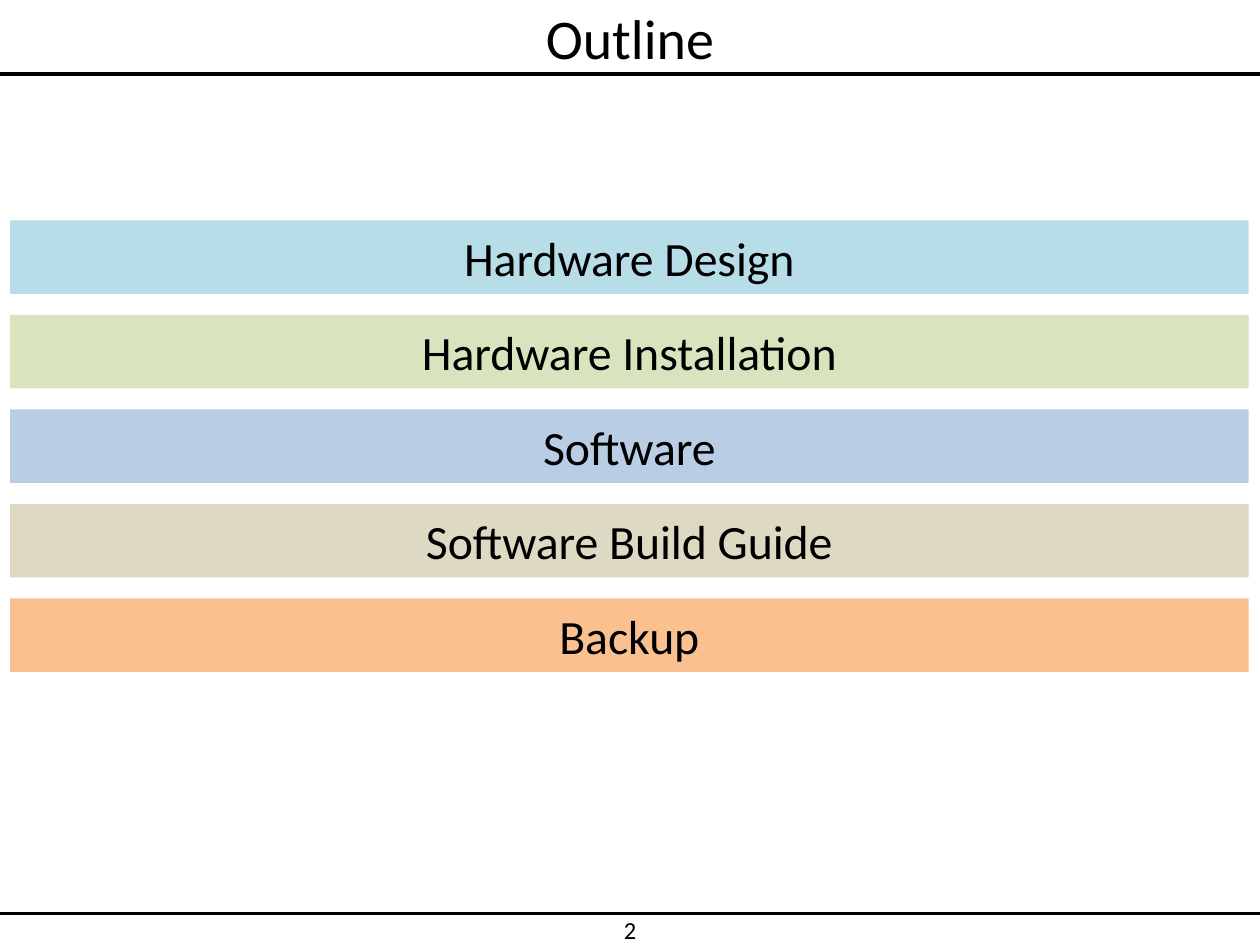
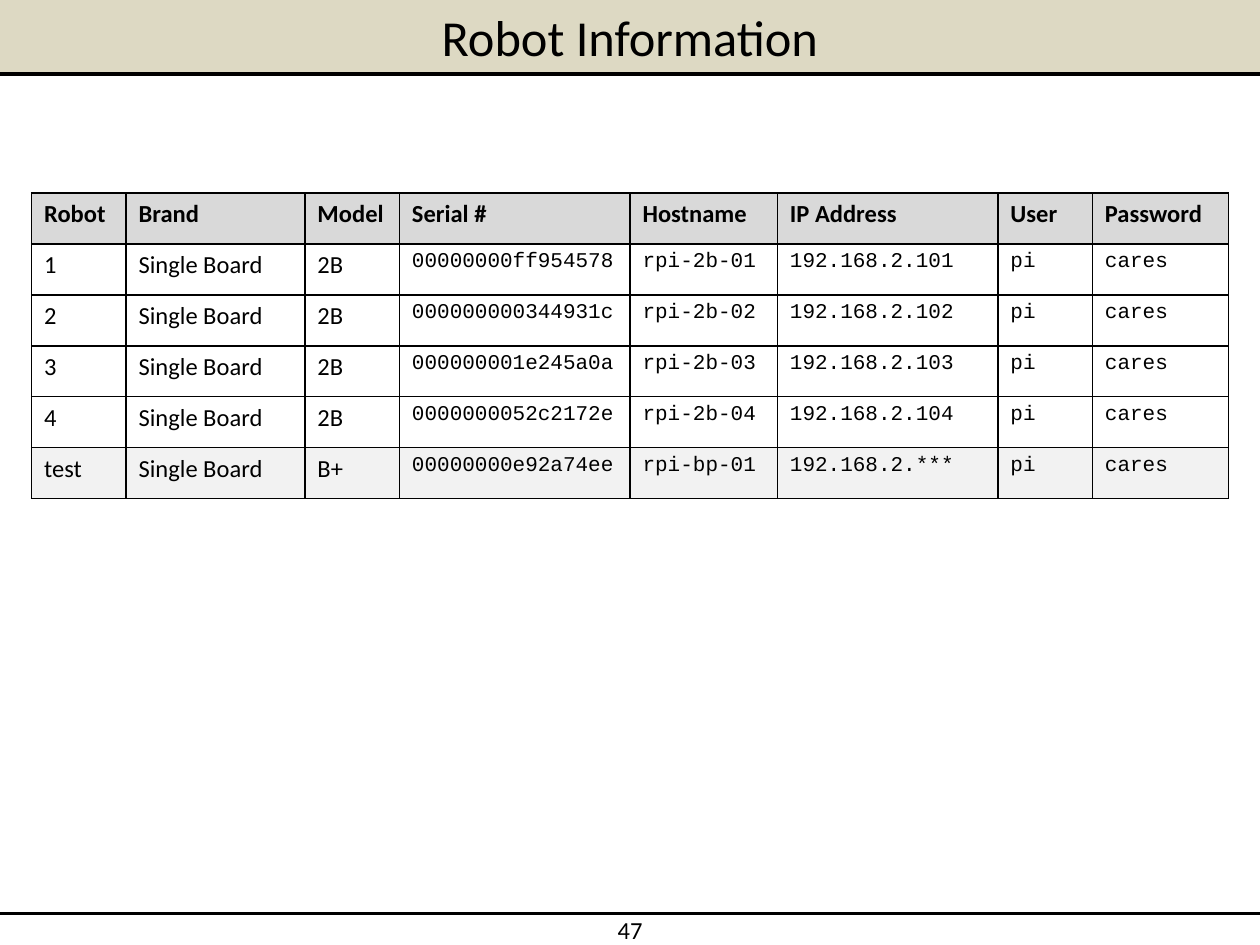
from pptx import Presentation
from pptx.dml.color import RGBColor
from pptx.enum.shapes import MSO_CONNECTOR, MSO_SHAPE
from pptx.enum.text import MSO_ANCHOR, MSO_AUTO_SIZE, PP_ALIGN
from pptx.oxml import parse_xml
from pptx.oxml.ns import nsdecls, qn
from pptx.util import Inches, Pt
from lxml.etree import SubElement

BLACK = RGBColor(0x00, 0x00, 0x00)
WHITE = RGBColor(0xFF, 0xFF, 0xFF)
AQUA = RGBColor(0xB7, 0xDE, 0xE8)
GREEN = RGBColor(0xD7, 0xE4, 0xBD)
BLUE = RGBColor(0xB9, 0xCD, 0xE5)
TAN = RGBColor(0xDD, 0xD9, 0xC3)
ORANGE = RGBColor(0xFA, 0xC0, 0x90)
GRAY = RGBColor(0xD9, 0xD9, 0xD9)
PALE = RGBColor(0xF2, 0xF2, 0xF2)
SANS = "Calibri"
MONO = "Courier New"
WIDTH = 10
BAND = 7 / 12

TOPICS = [
    ("Hardware Design", AQUA),
    ("Hardware Installation", GREEN),
    ("Software", BLUE),
    ("Software Build Guide", TAN),
    ("Backup", ORANGE),
]
HEADS = ["Robot", "Brand", "Model", "Serial #", "Hostname", "IP Address", "User", "Password"]
WIDTHS = [0.75, 1.42, 0.75, 1.83, 1.17, 1.75, 0.75, 1.08]
ROBOTS = [
    ("1", "2B", "00000000ff954578", "rpi-2b-01", "101"),
    ("2", "2B", "000000000344931c", "rpi-2b-02", "102"),
    ("3", "2B", "000000001e245a0a", "rpi-2b-03", "103"),
    ("4", "2B", "0000000052c2172e", "rpi-2b-04", "104"),
    ("test", "B+", "00000000e92a74ee", "rpi-bp-01", "***"),
]


def write(frame, text, size, face=SANS, bold=False, align=PP_ALIGN.CENTER):
    frame.text = text
    para = frame.paragraphs[0]
    para.alignment = align
    font = para.font
    font.name, font.size, font.bold = face, Pt(size), bold
    font.color.rgb = BLACK


def paint(item, color):
    item.fill.solid()
    item.fill.fore_color.rgb = color


def add_rule(slide, top, weight):
    rule = slide.shapes.add_connector(
        MSO_CONNECTOR.STRAIGHT, 0, Inches(top), Inches(WIDTH), Inches(top))
    rule.line.color.rgb = BLACK
    rule.line.width = Pt(weight)
    SubElement(rule._element.spPr, qn("a:effectLst"))


def add_number(slide, number):
    box = slide.shapes.add_textbox(Inches(4.64), Inches(7.26), Inches(0.72), Inches(0.24))
    frame = box.text_frame
    frame.word_wrap = True
    frame.margin_top = frame.margin_bottom = 0
    write(frame, str(number), 14)


def add_page(deck, title, number, size, color=None):
    slide = deck.slides.add_slide(deck.slide_layouts[5])
    head = slide.shapes.title
    head.left, head.top = 0, 0
    head.width, head.height = Inches(WIDTH), Inches(BAND)
    frame = head.text_frame
    frame.auto_size = MSO_AUTO_SIZE.NONE
    frame.vertical_anchor = MSO_ANCHOR.MIDDLE
    write(frame, title, size)
    if color is not None:
        paint(head, color)
    add_number(slide, number)
    add_rule(slide, 7.25, 2)
    add_rule(slide, 0.59, 2.25)
    return slide


def add_topic(slide, top, text, color):
    bar = slide.shapes.add_shape(
        MSO_SHAPE.RECTANGLE, Inches(0.08), Inches(top), Inches(9.83), Inches(BAND))
    bar.shadow.inherit = False
    bar.line.fill.background()
    paint(bar, color)
    bar.text_frame.vertical_anchor = MSO_ANCHOR.MIDDLE
    write(bar.text_frame, text, 27.3)


def add_border(cell):
    props = cell._tc.get_or_add_tcPr()
    for side in "LRTB":
        props.append(parse_xml(
            f'<a:ln{side} {nsdecls("a")} w="{Pt(1)}"><a:solidFill>'
            f'<a:srgbClr val="{BLACK}"/></a:solidFill></a:ln{side}>'))


def add_grid(slide, rows, fills):
    grid = slide.shapes.add_table(
        len(rows), len(WIDTHS), Inches(0.25), Inches(1.53), Inches(9.5), Inches(2.43)).table
    for col, width in zip(grid.columns, WIDTHS):
        col.width = Inches(width)
    for r, (row, color) in enumerate(zip(rows, fills)):
        for c, text in enumerate(row):
            cell = grid.cell(r, c)
            add_border(cell)
            paint(cell, color)
            code = r > 0 and c > 2
            write(cell.text_frame, text, 12 if code else 14,
                  MONO if code else SANS, r == 0, PP_ALIGN.LEFT)


def main():
    deck = Presentation()
    deck.slide_width, deck.slide_height = Inches(WIDTH), Inches(7.5)

    outline = add_page(deck, "Outline", 2, 32)
    for i, (text, color) in enumerate(TOPICS):
        add_topic(outline, 1.75 + 0.75 * i, text, color)

    robots = add_page(deck, "Robot Information", 47, 28.8, TAN)
    rows = [HEADS] + [
        (name, "Single Board", model, serial, host, f"192.168.2.{tail}", "pi", "cares")
        for name, model, serial, host, tail in ROBOTS
    ]
    add_grid(robots, rows, [GRAY] + [WHITE] * 4 + [PALE])

    deck.save("out.pptx")


if __name__ == "__main__":
    main()
